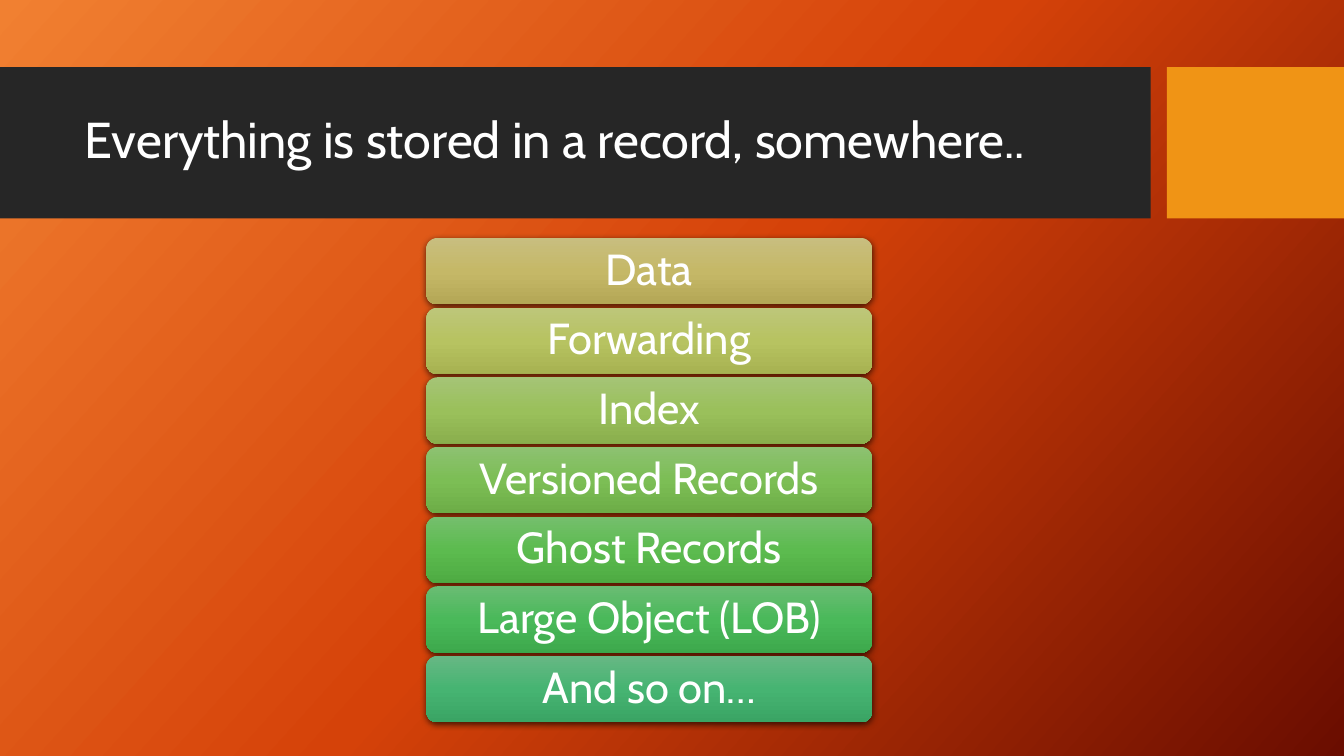
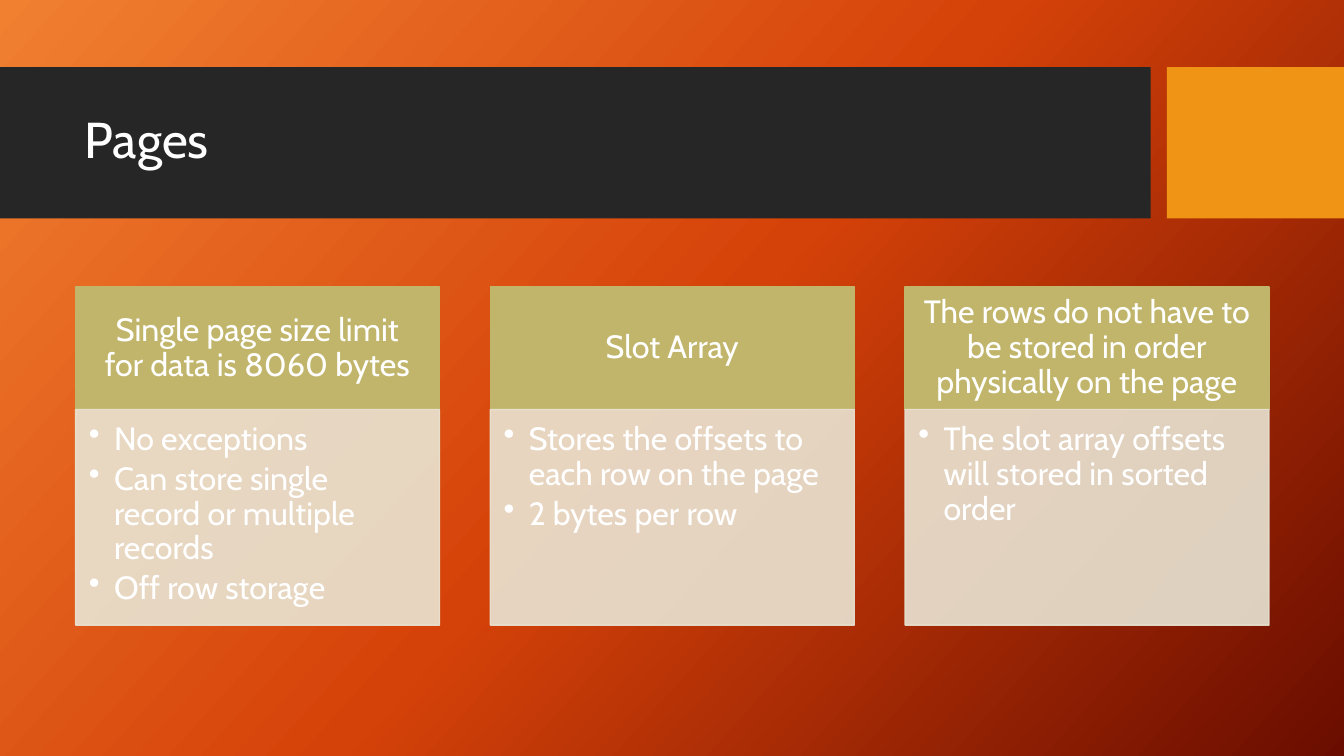
import copy
from dataclasses import dataclass

import pptx
import pptx.dml.color
import pptx.enum.shapes
import pptx.enum.text
import pptx.oxml
import pptx.oxml.ns
import pptx.util

Pt = pptx.util.Pt
RGB = pptx.dml.color.RGBColor.from_string
Shape = pptx.enum.shapes.MSO_SHAPE
Align = pptx.enum.text.PP_ALIGN
Anchor = pptx.enum.text.MSO_ANCHOR
qn = pptx.oxml.ns.qn
namespace = pptx.oxml.ns.nsdecls("a")


@dataclass(frozen=True)
class Theme:
    font: str = "Cabin"
    text: str = "FFFFFF"
    title_band: str = "262626"
    accent: str = "F09415"
    heading: str = "C1B56B"
    body: str = "E9E5D4"
    background: tuple = ("F18031", "D54209", "6A0D00")
    title_size: int = 36
    row_size: int = 31
    panel_size: int = 23


theme = Theme()


def fill_gradient(fill, colors, clockwise_angle):
    fill.gradient()
    fill.gradient_angle = 360 - clockwise_angle
    first = fill.gradient_stops[0]._gs
    first.addnext(copy.deepcopy(first))
    for stop, color, position in zip(fill.gradient_stops, colors, (0, 0.5, 1)):
        stop.color.rgb = RGB(color)
        stop.position = position


def write_text(shape, texts, size, insets, align=Align.CENTER, anchor=Anchor.MIDDLE, bullet=None):
    frame = shape.text_frame
    frame.word_wrap = True
    frame.vertical_anchor = anchor
    frame.margin_left, frame.margin_top, frame.margin_right, frame.margin_bottom = map(Pt, insets)
    for index, text in enumerate(texts):
        paragraph = frame.add_paragraph() if index else frame.paragraphs[0]
        if bullet:
            properties = paragraph._p.get_or_add_pPr()
            properties.set("marL", str(Pt(18)))
            properties.set("indent", str(Pt(-18)))
            properties.append(pptx.oxml.parse_xml(f'<a:buChar {namespace} char="{bullet}"/>'))
            paragraph.space_after = Pt(3.5)
        paragraph.alignment = align
        paragraph.line_spacing = 0.9
        run = paragraph.add_run()
        run.text = text
        run.font.name = theme.font
        run.font.size = Pt(size)
        run.font.color.rgb = RGB(theme.text)


presentation = pptx.Presentation()
presentation.slide_width = Pt(960)
presentation.slide_height = Pt(540)

bands = [(0, 822, theme.title_band), (833.5, 126.5, theme.accent)]
slides = []
for title in ("Everything is stored in a record, somewhere..", "Pages"):
    slide = presentation.slides.add_slide(presentation.slide_layouts[6])
    fill_gradient(slide.background.fill, theme.background, 42)
    for left, width, color in bands:
        band = slide.shapes.add_shape(Shape.RECTANGLE, Pt(left), Pt(48), Pt(width), Pt(108))
        band.shadow.inherit = False
        band.fill.solid()
        band.fill.fore_color.rgb = RGB(color)
        band.line.fill.background()
    title_box = slide.shapes.add_textbox(Pt(53.5), Pt(59), Pt(757), Pt(85))
    write_text(title_box, [title], theme.title_size, (7.2, 3.6, 7.2, 3.6), Align.LEFT)
    slides.append(slide)

records_slide, pages_slide = slides

record_types = [
    ("Data", ("C8BE7F", "C5B867", "B4A756")),
    ("Forwarding", ("BDC67A", "B7C361", "A7B251")),
    ("Index", ("A5C476", "9AC05B", "8AAF4D")),
    ("Versioned Records", ("8DC171", "7CBE55", "6DAD47")),
    ("Ghost Records", ("75BF6D", "5CBB4F", "4EAB42")),
    ("Large Object (LOB)", ("69BC73", "4AB95A", "3DA94C")),
    ("And so on…", ("67B884", "46B472", "3AA464")),
]
for index, (name, colors) in enumerate(record_types):
    row = records_slide.shapes.add_shape(
        Shape.ROUNDED_RECTANGLE, Pt(304.5), Pt(170 + index * 49.75), Pt(318.5), Pt(47.5))
    fill_gradient(row.fill, colors, 90)
    row.line.fill.background()
    row.shadow.inherit = False
    row._element.spPr.find(qn("a:effectLst")).append(pptx.oxml.parse_xml(
        f'<a:outerShdw {namespace} blurRad="{Pt(4.5)}" dist="{Pt(1.5)}" dir="5400000" algn="ctr" '
        'rotWithShape="0"><a:srgbClr val="000000"><a:alpha val="63000"/></a:srgbClr></a:outerShdw>'))
    write_text(row, [name], theme.row_size, (11.5, 6.5, 11.5, 6.5))

page_facts = [
    ("Single page size limit for data is 8060 bytes",
     ["No exceptions", "Can store single record or multiple records", "Off row storage"]),
    ("Slot Array",
     ["Stores the offsets to each row on the page", "2 bytes per row"]),
    ("The rows do not have to be stored in order physically on the page",
     ["The slot array offsets will stored in sorted order"]),
]
for index, (heading, details) in enumerate(page_facts):
    left = 54 + index * 296.25
    panels = []
    for top, height, color in ((205, 87.5, theme.heading), (292.5, 154, theme.body)):
        panel = pages_slide.shapes.add_shape(
            Shape.RECTANGLE, Pt(left), Pt(top), Pt(260), Pt(height))
        panel.shadow.inherit = False
        panel.fill.solid()
        panel.fill.fore_color.rgb = RGB(color)
        panel.line.color.rgb = RGB(color)
        panel.line.width = Pt(1)
        panels.append(panel)
    heading_panel, details_panel = panels
    for color_element in details_panel._element.spPr.iter(qn("a:srgbClr")):
        color_element.append(pptx.oxml.parse_xml(f'<a:alpha {namespace} val="90000"/>'))
    write_text(heading_panel, [heading], theme.panel_size, (13, 7, 13, 7))
    write_text(details_panel, details, theme.panel_size, (9.5, 9.5, 13, 14.5),
               Align.LEFT, Anchor.TOP, "•")

presentation.save("out.pptx")
